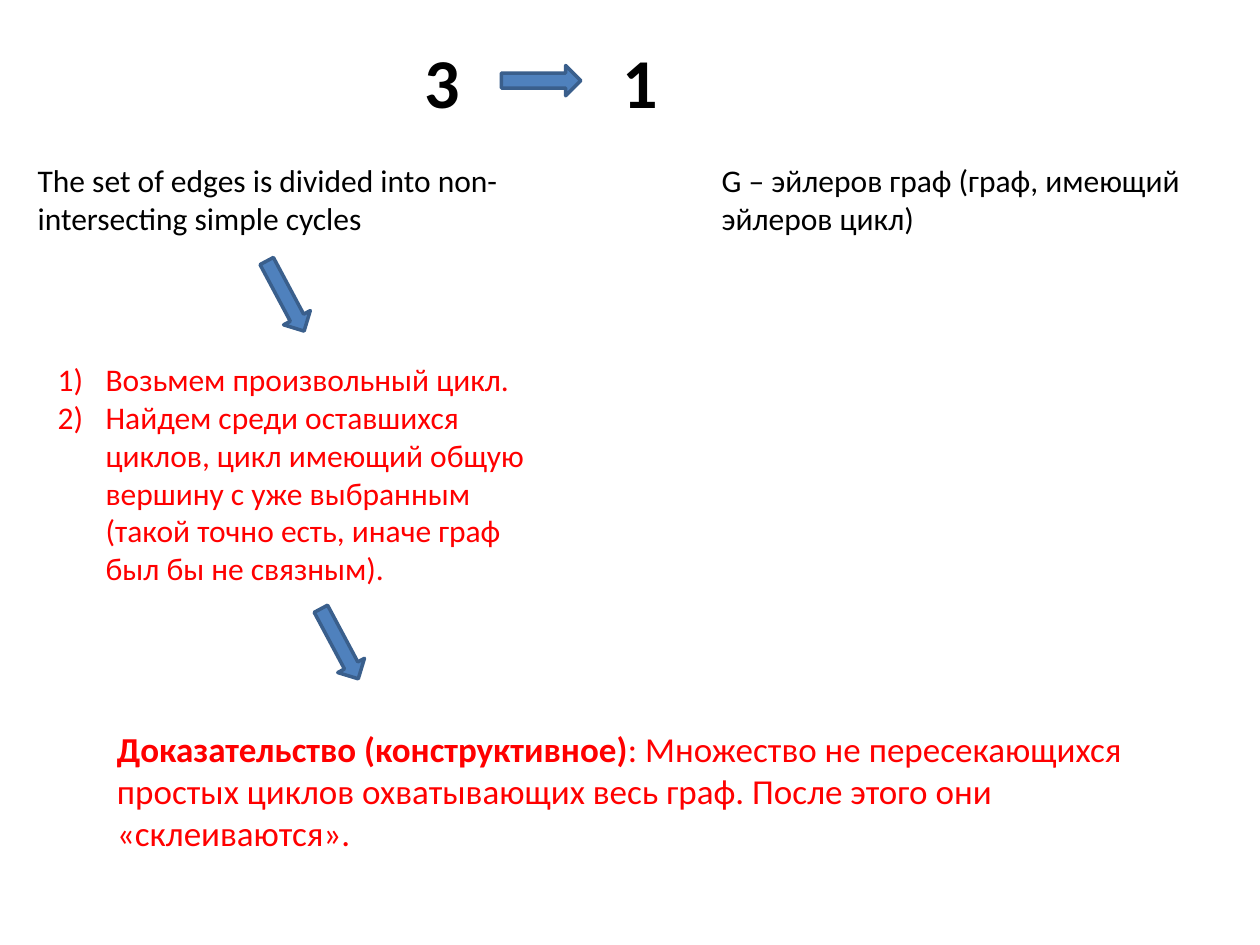
from lxml import etree
from pptx import Presentation
from pptx.dml.color import RGBColor
from pptx.enum.shapes import MSO_SHAPE as Shape
from pptx.enum.text import MSO_ANCHOR as Anchor
from pptx.oxml.ns import qn
from pptx.util import Inches, Pt

COLORS = {"text": "000000", "proof": "FF0000", "arrow": "4F81BD", "arrow_line": "3A5F8C"}
FONT = "Calibri"
ARROW_WIDTH, ARROW_HEIGHT = 0.63, 0.24
DOWN_TILT = 61.9


def color(name):
    return RGBColor.from_string(COLORS[name])


def add_text(slide, box, paragraphs, size, color_name="text", anchor=Anchor.TOP,
             bold=None, numbered=False):
    """Each paragraph is a list of (text, bold) runs or a plain string."""
    frame = slide.shapes.add_textbox(*map(Inches, box)).text_frame
    frame.word_wrap = True
    frame.vertical_anchor = anchor
    for index, content in enumerate(paragraphs):
        paragraph = frame.add_paragraph() if index else frame.paragraphs[0]
        runs = [(content, None)] if isinstance(content, str) else content
        for text, run_bold in runs:
            run = paragraph.add_run()
            run.text = text
            if run_bold is not None:
                run.font.bold = run_bold
        if numbered:
            number_paragraph(paragraph)
        font = paragraph.font
        font.name, font.size, font.bold = FONT, Pt(size), bold
        font.color.rgb = color(color_name)


def number_paragraph(paragraph):
    properties = paragraph._p.get_or_add_pPr()
    indent = Inches(0.38)
    properties.set("marL", str(indent))
    properties.set("indent", str(-indent))
    etree.SubElement(properties, qn("a:buFont"), typeface="+mj-lt")
    etree.SubElement(properties, qn("a:buAutoNum"), type="arabicParenR")


def add_arrow(slide, left, top, rotation=0):
    arrow = slide.shapes.add_shape(
        Shape.RIGHT_ARROW, Inches(left), Inches(top), Inches(ARROW_WIDTH), Inches(ARROW_HEIGHT))
    arrow.rotation = rotation
    arrow.shadow.inherit = False
    arrow.fill.solid()
    arrow.fill.fore_color.rgb = color("arrow")
    arrow.line.color.rgb = color("arrow_line")
    arrow.line.width = Pt(2)


def add_heading(slide, left, top):
    """Implication "3 → 1"."""
    for digit, offset, width in (("3", 0, 0.47), ("1", 1.57, 0.39)):
        add_text(slide, (left + offset, top, width, 1.02), [digit], 40,
                 anchor=Anchor.MIDDLE, bold=True)
    add_arrow(slide, left + 0.71, top + 0.39)


def add_statements(slide, left, top):
    add_text(slide, (left, top, 4.02, 0.71),
             ["The set of edges is divided into non-intersecting simple cycles"], 18)
    add_text(slide, (left + 5.43, top, 3.94, 0.71),
             ["G – эйлеров граф (граф, имеющий эйлеров цикл)"], 18)


def add_steps(slide, left, top):
    """Numbered steps with a slanted arrow before and after them."""
    add_arrow(slide, left + 1.59, top - 0.58, DOWN_TILT)
    add_text(slide, (left, top, 4.02, 1.92), [
        "Возьмем произвольный цикл.",
        "Найдем среди оставшихся циклов, цикл имеющий общую вершину с уже выбранным "
        "(такой точно есть, иначе граф был бы не связным).",
    ], 18, "proof", numbered=True)
    add_arrow(slide, left + 2.02, top + 2.18, DOWN_TILT)


def add_proof(slide, left, top):
    add_text(slide, (left, top, 8.5, 1.1), [[
        ("Доказательство (конструктивное)", True),
        (": Множество не пересекающихся простых циклов охватывающих весь граф. "
         "После этого они «склеиваются».", False),
    ]], 20, "proof", Anchor.MIDDLE)


def main():
    presentation = Presentation()
    presentation.slide_width, presentation.slide_height = Inches(10), Inches(7.5)
    slide = presentation.slides.add_slide(presentation.slide_layouts[6])
    add_heading(slide, 3.27, 0.13)
    add_proof(slide, 0.83, 5.72)
    add_statements(slide, 0.2, 1.23)
    add_steps(slide, 0.36, 2.81)
    presentation.save("out.pptx")


if __name__ == "__main__":
    main()
